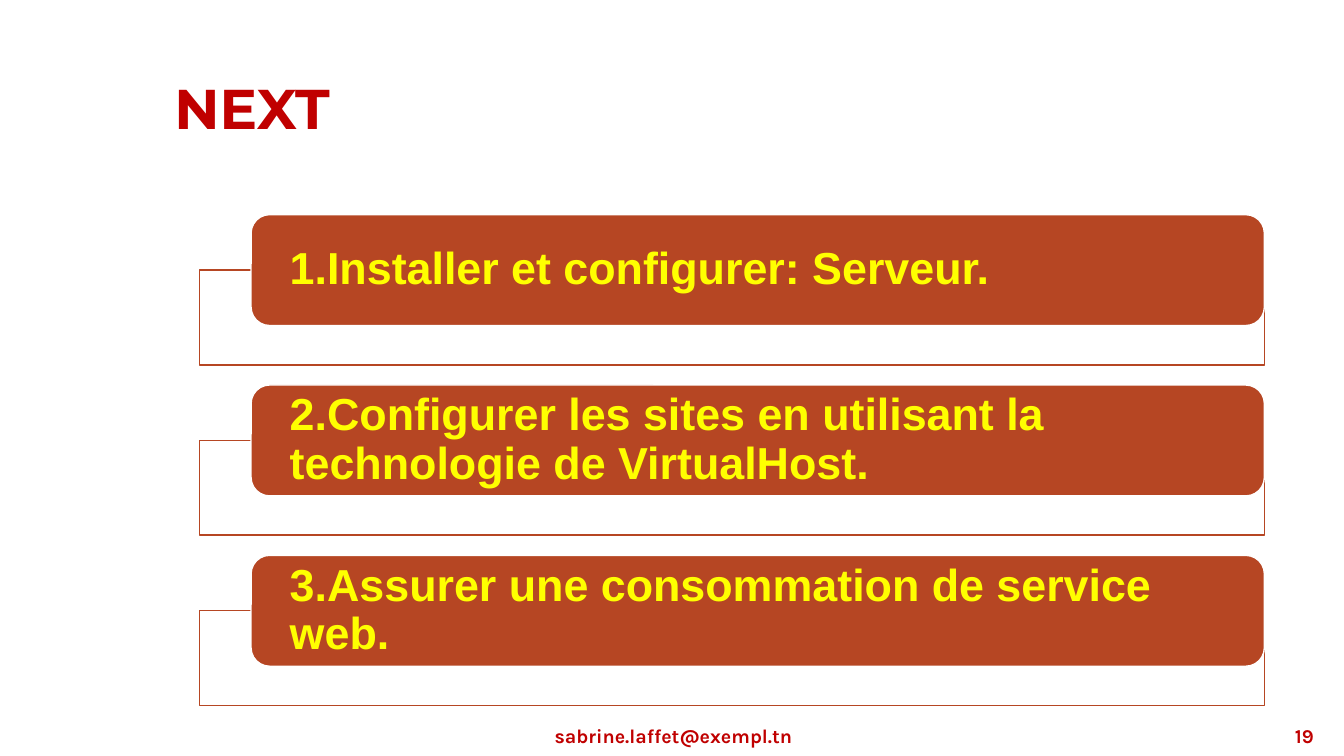
from pptx import Presentation
from pptx import util as u
from pptx.dml import color
from pptx.enum import shapes, text
from pptx.oxml import ns
from lxml import etree

RED = "C00000"
RUST = "B64623"
WHITE = "FFFFFF"
YELLOW = "FFFF00"
STEPS = [
    "1.Installer et configurer: Serveur.",
    "2.Configurer les sites en utilisant la technologie de VirtualHost.",
    "3.Assurer une consommation de service web.",
]


def rgb(value):
    return color.RGBColor.from_string(value)


def write(shape, content, size, font, hue, align=text.PP_ALIGN.LEFT, inset=0.1, spacing=1.0):
    frame = shape.text_frame
    frame.text = content
    frame.word_wrap = True
    frame.auto_size = text.MSO_AUTO_SIZE.NONE
    frame.vertical_anchor = text.MSO_ANCHOR.MIDDLE
    frame.margin_left = frame.margin_right = u.Inches(inset)
    frame.margin_top = frame.margin_bottom = u.Inches(0.05)
    paragraph = frame.paragraphs[0]
    paragraph.alignment = align
    paragraph.line_spacing = spacing
    run_font = paragraph.runs[0].font
    run_font.size = u.Pt(size)
    run_font.name = font
    run_font.bold = True
    run_font.color.rgb = rgb(hue)
    return paragraph


def add_box(slide, kind, left, top, width, height, fill, line):
    shape = slide.shapes.add_shape(kind, *map(u.Inches, (left, top, width, height)))
    shape.shadow.inherit = False
    shape.fill.solid()
    shape.fill.fore_color.rgb = rgb(fill)
    shape.line.color.rgb = rgb(line)
    shape.line.width = u.Pt(1)
    return shape


def add_title(slide, left, top, width, height):
    title = slide.shapes.title
    title.left, title.top, title.width, title.height = map(u.Inches, (left, top, width, height))
    paragraph = write(title, "NEXT", 40, "Montserrat", RED, spacing=0.9)
    properties = paragraph._p.get_or_add_pPr()
    properties.set("marL", str(u.Inches(0.59)))
    properties.set("indent", str(u.Inches(-0.39)))


def add_step(slide, content, left, top, width):
    frame = add_box(slide, shapes.MSO_SHAPE.RECTANGLE, left, top + 0.55, width, 0.94, WHITE, RUST)
    fill_color = frame.fill._xPr.find(".//" + ns.qn("a:srgbClr"))
    etree.SubElement(fill_color, ns.qn("a:alpha"), val="90000")
    label = add_box(slide, shapes.MSO_SHAPE.ROUNDED_RECTANGLE,
                    left + 0.51, top, width - 0.51, 1.1, RUST, WHITE)
    label.adjustments[0] = 0.167
    write(label, content, 32, "Arial", YELLOW, inset=0.33, spacing=0.9)


def add_steps(slide, left, top, width, pitch):
    for index, content in enumerate(STEPS):
        add_step(slide, content, left, top + index * pitch, width)


def add_footer(slide, top, height):
    items = [
        ("sabrine.laffet@exempl.tn", 4.43, 4.5, text.PP_ALIGN.CENTER),
        ("19", 10.13, 3, text.PP_ALIGN.RIGHT),
    ]
    for content, left, width, align in items:
        box = slide.shapes.add_textbox(*map(u.Inches, (left, top, width, height)))
        write(box, content, 14, "Karla", RED, align)


def main():
    presentation = Presentation()
    presentation.slide_width = u.Inches(13.33)
    presentation.slide_height = u.Inches(7.5)
    slide = presentation.slides.add_slide(presentation.slide_layouts[5])
    add_title(slide, 1.43, 0.38, 11.5, 1.45)
    add_footer(slide, 7.1, 0.4)
    add_steps(slide, 1.98, 2.13, 10.56, 1.69)
    presentation.save("out.pptx")


if __name__ == "__main__":
    main()
